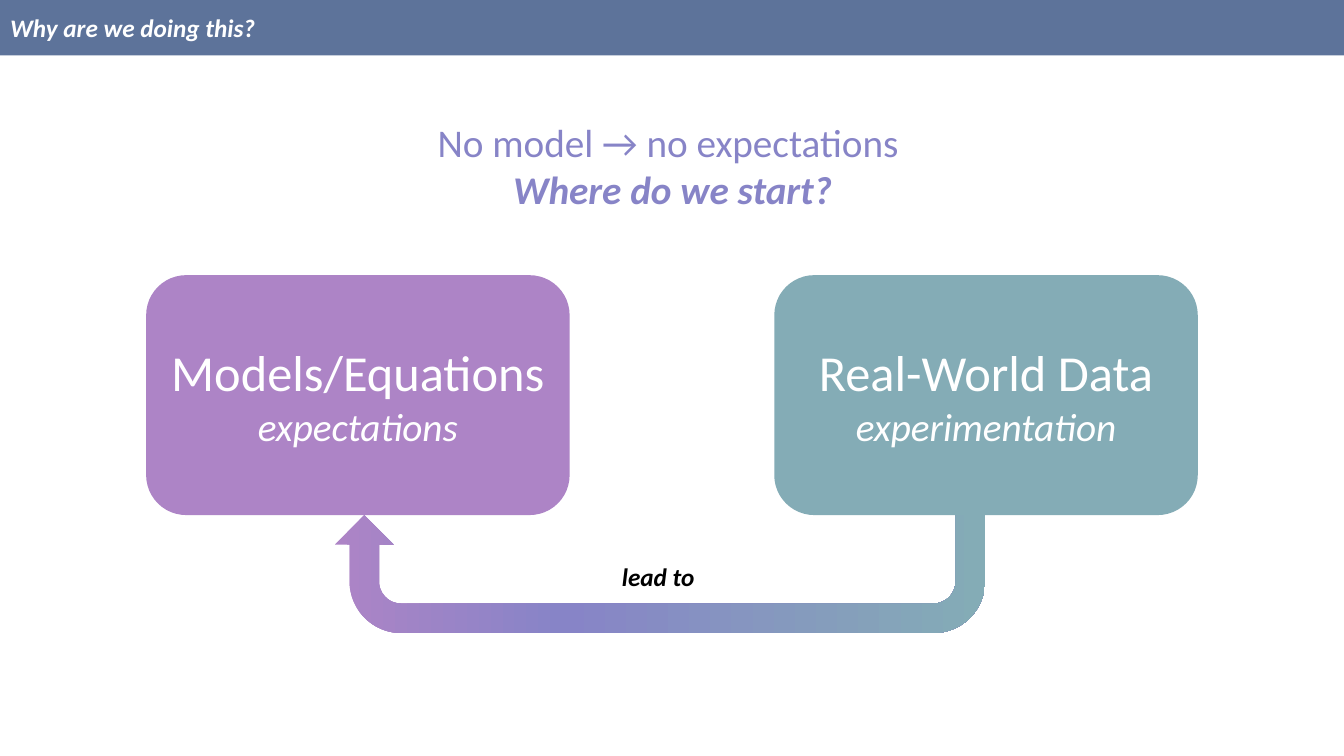
from copy import deepcopy

from pptx import Presentation
from pptx.dml.color import RGBColor
from pptx.enum.shapes import MSO_SHAPE
from pptx.enum.text import MSO_ANCHOR, MSO_AUTO_SIZE, PP_ALIGN
from pptx.util import Inches, Pt

COLORS = {
    "bar": "5D739A",
    "model": "AD84C6",
    "accent": "8784C7",
    "data": "84ACB6",
    "white": "FFFFFF",
    "black": "000000",
}
FONT = "Calibri"

# Each line of text: wording, size, bold, italic
TITLE = [("Why are we doing this?", 18, True, True)]
QUESTION = [
    ("No model → no expectations ", 28, False, False),
    ("Where do we start?", 28, True, True),
]
LINK = [("lead to", 18, True, True)]
BOXES = [
    ("model", [("Models/Equations", 36, False, False),
               ("expectations", 28, False, True)]),
    ("data", [("Real-World Data", 36, False, False),
              ("experimentation", 28, False, True)]),
]
GRADIENT = [(0, "model"), (0.35, "accent"), (1, "data")]
ARROW_ADJ = [0.25, 0.25, 0.25, 0.438, 1]

SLIDE_W, SLIDE_H = 13.33, 7.5
BOX_W, BOX_H, BOX_TOP = 4.2, 2.38, 2.73
BOX_LEFT, BOX_STEP = 1.45, 6.23


def rgb(name):
    return RGBColor.from_string(COLORS[name])


def write(shape, lines, color, align=PP_ALIGN.CENTER, anchor=MSO_ANCHOR.MIDDLE, wrap=True):
    tf = shape.text_frame
    tf.word_wrap = wrap
    tf.auto_size = MSO_AUTO_SIZE.NONE if wrap else MSO_AUTO_SIZE.SHAPE_TO_FIT_TEXT
    tf.vertical_anchor = anchor
    for i, (text, size, bold, italic) in enumerate(lines):
        p = tf.add_paragraph() if i else tf.paragraphs[0]
        p.alignment = align
        r = p.add_run()
        r.text = text
        r.font.name = FONT
        r.font.size = Pt(size)
        r.font.bold = bold
        r.font.italic = italic
        r.font.color.rgb = rgb(color)


def add_plain_shape(s, kind, left, top, width, height):
    """Add a preset shape with no shadow and no outline."""
    sp = s.shapes.add_shape(kind, Inches(left), Inches(top), Inches(width), Inches(height))
    sp.shadow.inherit = False
    sp.line.fill.background()
    return sp


def fill_gradient(sp, stops, angle):
    sp.fill.gradient()
    sp.fill.gradient_angle = angle
    gs_list = sp.fill._fill._gradFill.gsLst
    while len(gs_list) < len(stops):
        gs_list.append(deepcopy(gs_list[0]))
    for stop, (position, color) in zip(sp.fill.gradient_stops, stops):
        stop.position = position
        stop.color.rgb = rgb(color)


def main():
    prs = Presentation()
    prs.slide_width, prs.slide_height = Inches(SLIDE_W), Inches(SLIDE_H)
    s = prs.slides.add_slide(prs.slide_layouts[5])

    title = s.shapes.title
    title.left, title.top = Inches(0), Inches(0)
    title.width, title.height = Inches(SLIDE_W), Inches(0.55)
    title.fill.solid()
    title.fill.fore_color.rgb = rgb("bar")
    write(title, TITLE, "white", align=PP_ALIGN.LEFT)

    for i, (color, lines) in enumerate(BOXES):
        box = add_plain_shape(s, MSO_SHAPE.ROUNDED_RECTANGLE,
                              BOX_LEFT + i * BOX_STEP, BOX_TOP, BOX_W, BOX_H)
        box.fill.solid()
        box.fill.fore_color.rgb = rgb(color)
        write(box, lines, "white")

    arrow = add_plain_shape(s, MSO_SHAPE.U_TURN_ARROW, 3.32, BOX_TOP + BOX_H, 6.45, 1.17)
    arrow.rotation = 180
    for i, value in enumerate(ARROW_ADJ):
        arrow.adjustments[i] = value
    fill_gradient(arrow, GRADIENT, 180)

    link = s.shapes.add_textbox(Inches(6.07), Inches(5.52), Inches(0.93), Inches(0.4))
    write(link, LINK, "black", align=PP_ALIGN.LEFT, anchor=MSO_ANCHOR.TOP, wrap=False)

    question = s.shapes.add_textbox(Inches(4.06), Inches(1.14), Inches(5.22), Inches(1))
    write(question, QUESTION, "accent")

    prs.save("out.pptx")


if __name__ == "__main__":
    main()
